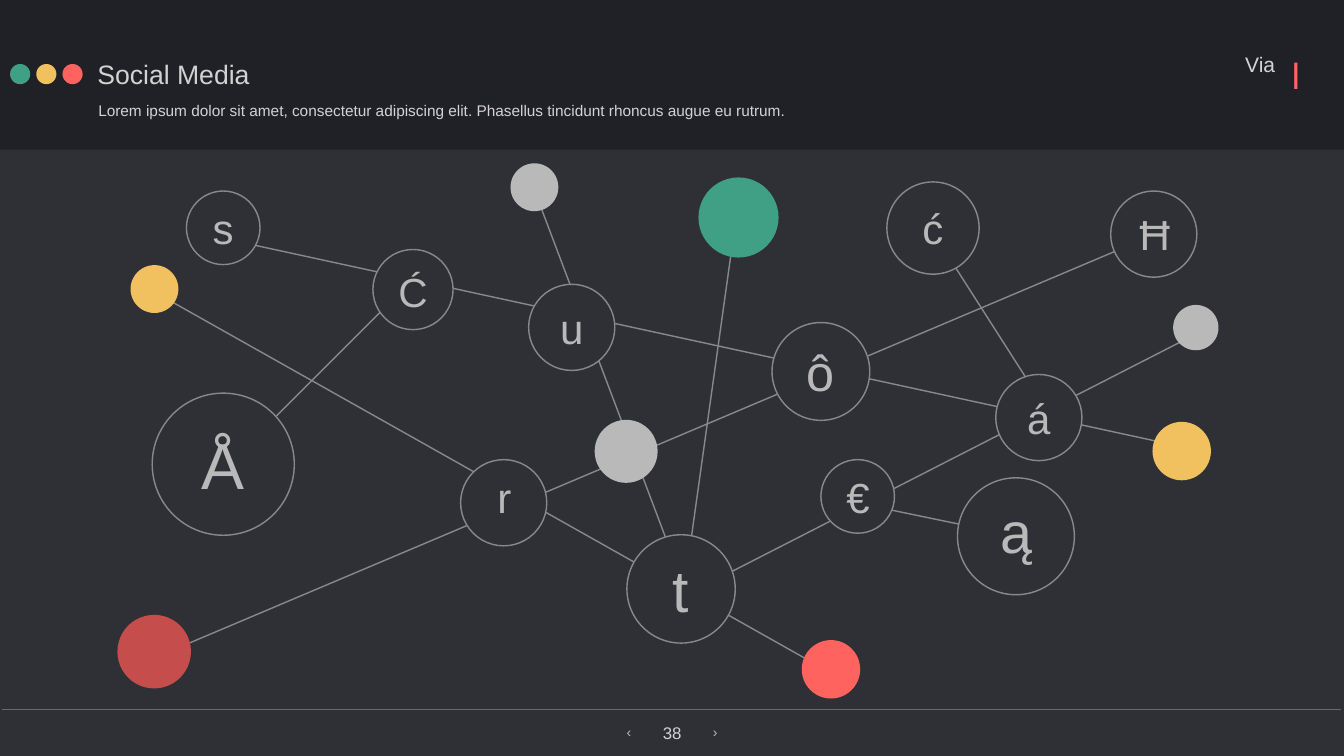
"""Build the Social Media network slide with linked letter nodes."""
import lxml.etree
import pptx
import pptx.dml.color
import pptx.enum.shapes
import pptx.enum.text
import pptx.oxml.ns
import pptx.util
from pptx.util import Inches

theme = {
    "font": "Arial",
    "background": "2F3035", "header": "202126", "rule": "686868", "link": "85888D",
    "green": "3FA086", "yellow": "F1C05F", "coral": "FF635F", "red": "C54E4D",
    "grey": "B9B9B9", "title": "D2D2D2", "body": "D4D2D6",
    "title_size": 38, "body_size": 22, "via_size": 30, "bar_size": 52,
    "page_size": 24, "arrow_size": 20,
}
rgb = pptx.dml.color.RGBColor.from_string
align = pptx.enum.text.PP_ALIGN
anchors = pptx.enum.text.MSO_ANCHOR
presets = pptx.enum.shapes.MSO_SHAPE


def write(box, text, size, color, alignment=align.CENTER, anchor=anchors.MIDDLE):
    frame = box.text_frame
    frame.text = text
    frame.word_wrap = False
    frame.auto_size = pptx.enum.text.MSO_AUTO_SIZE.SHAPE_TO_FIT_TEXT
    frame.vertical_anchor = anchor
    frame.margin_left = frame.margin_right = Inches(0.06)
    frame.margin_top = frame.margin_bottom = Inches(0.06)
    paragraph = frame.paragraphs[0]
    paragraph.alignment = alignment
    font = paragraph.runs[0].font
    font.name, font.size = theme["font"], pptx.util.Pt(size)
    font.color.rgb = rgb(theme[color])


def draw(shapes, preset, place, fill, outline=None):
    shape = shapes.add_shape(preset, *map(Inches, place))
    shape.shadow.inherit = False
    shape.fill.solid()
    shape.fill.fore_color.rgb = rgb(theme[fill])
    if outline:
        shape.line.color.rgb = rgb(theme[outline])
        shape.line.width = pptx.util.Pt(2)
    else:
        shape.line.fill.background()


deck = pptx.Presentation()
deck.slide_width, deck.slide_height = Inches(26.67), Inches(15)
slide = deck.slides.add_slide(deck.slide_layouts[5])
slide.background.fill.solid()
slide.background.fill.fore_color.rgb = rgb(theme["background"])

draw(slide.shapes, presets.RECTANGLE, (-0.25, -0.03, 27.18, 3), "header")
for index, color in enumerate(("green", "yellow", "coral")):
    draw(slide.shapes, presets.OVAL, (0.2 + 0.52 * index, 1.27, 0.4, 0.4), color)

title = slide.shapes.title
slide.shapes.element.append(title.element)
title.left, title.top, title.width, title.height = map(Inches, (1.87, 1.09, 3.15, 0.75))
write(title, "Social Media", theme["title_size"], "title", align.LEFT)

labels = [
    ("Lorem ipsum dolor sit amet, consectetur adipiscing elit. "
     "Phasellus tincidunt rhoncus augue eu rutrum.",
     (1.89, 1.95, 13.78, 0.47), "body_size", "body", align.LEFT, anchors.TOP),
    ("Via", (24.65, 0.97, 0.72, 0.61), "via_size", "body", align.LEFT, anchors.MIDDLE),
    ("l", (25.57, 1.01, 0.29, 0.97), "bar_size", "coral", align.CENTER, anchors.MIDDLE),
    ("‹", (12.37, 14.31, 0.22, 0.44), "arrow_size", "grey", align.CENTER, anchors.MIDDLE),
    ("38", (13.09, 14.28, 0.5, 0.51), "page_size", "title", align.CENTER, anchors.TOP),
    ("›", (14.08, 14.31, 0.22, 0.44), "arrow_size", "grey", align.CENTER, anchors.MIDDLE),
]
for text, place, size, color, alignment, anchor in labels:
    label = slide.shapes.add_textbox(*map(Inches, place))
    write(label, text, theme[size], color, alignment, anchor)

links = [
    (20.65, 7.95, 18.63, 4.79),
    (14.59, 4.44, 13.59, 11.59),
    (2.62, 13.24, 22.9, 4.66),
    (4.2, 4.68, 23.53, 8.88),
    (13.64, 11.81, 10.54, 3.6),
    (23.71, 6.64, 13.7, 11.76),
    (2.81, 5.65, 16.31, 13.25),
    (8.14, 5.6, 4.6, 9.14),
    (16.72, 9.92, 19.71, 10.54),
]
footer_rule = (0.04, 14.07, 26.62, 14.07)
strokes = [(footer_rule, "rule", 1)] + [(link, "link", 2) for link in links]
for ends, color, width in strokes:
    stroke = slide.shapes.add_connector(
        pptx.enum.shapes.MSO_CONNECTOR.STRAIGHT, *map(Inches, ends))
    stroke.line.color.rgb = rgb(theme[color])
    stroke.line.width = pptx.util.Pt(width)
    lxml.etree.SubElement(stroke.element.spPr, pptx.oxml.ns.qn("a:effectLst"))

dots = [
    (15.91, 12.7, 1.16, "coral"),
    (22.87, 8.37, 1.16, "yellow"),
    (23.28, 6.05, 0.9, "grey"),
    (11.8, 8.33, 1.25, "grey"),
    (2.33, 12.2, 1.46, "red"),
    (2.59, 5.26, 0.95, "yellow"),
    (10.13, 3.24, 0.95, "grey"),
    (13.86, 3.52, 1.59, "green"),
]
for left, top, diameter, color in dots:
    draw(slide.shapes, presets.OVAL, (left, top, diameter, diameter), color)

nodes = [
    ("t", 84, (12.44, 10.61, 2.15), (13.29, 10.93, 0.45, 1.51)),
    ("ą", 82, (19, 9.48, 2.32), (19.79, 9.8, 0.76, 1.47)),
    ("Å", 92, (3.02, 7.8, 2.82), (3.94, 8.38, 0.98, 1.64)),
    ("ô", 72, (15.32, 6.4, 1.94), (15.95, 6.72, 0.68, 1.31)),
    ("Ħ", 60, (22.04, 3.79, 1.71), (22.55, 4.09, 0.73, 1.11)),
    ("u", 60, (10.49, 5.64, 1.71), (11.05, 5.94, 0.59, 1.11)),
    ("Ć", 58, (7.4, 4.95, 1.59), (7.84, 5.23, 0.71, 1.08)),
    ("ć", 60, (17.6, 3.61, 1.83), (18.24, 3.97, 0.54, 1.11)),
    ("r", 60, (9.14, 9.12, 1.71), (9.81, 9.3, 0.4, 1.11)),
    ("s", 60, (3.7, 3.79, 1.46), (4.16, 3.97, 0.54, 1.11)),
    ("á", 60, (19.76, 7.43, 1.71), (20.32, 7.73, 0.59, 1.11)),
    ("€", 60, (16.29, 9.12, 1.46), (16.65, 9.3, 0.75, 1.11)),
]
for letter, size, (left, top, diameter), letter_place in nodes:
    node = slide.shapes.add_group_shape()
    draw(node.shapes, presets.OVAL, (left, top, diameter, diameter), "background", "link")
    write(node.shapes.add_textbox(*map(Inches, letter_place)), letter, size, "grey")

deck.save("out.pptx")
